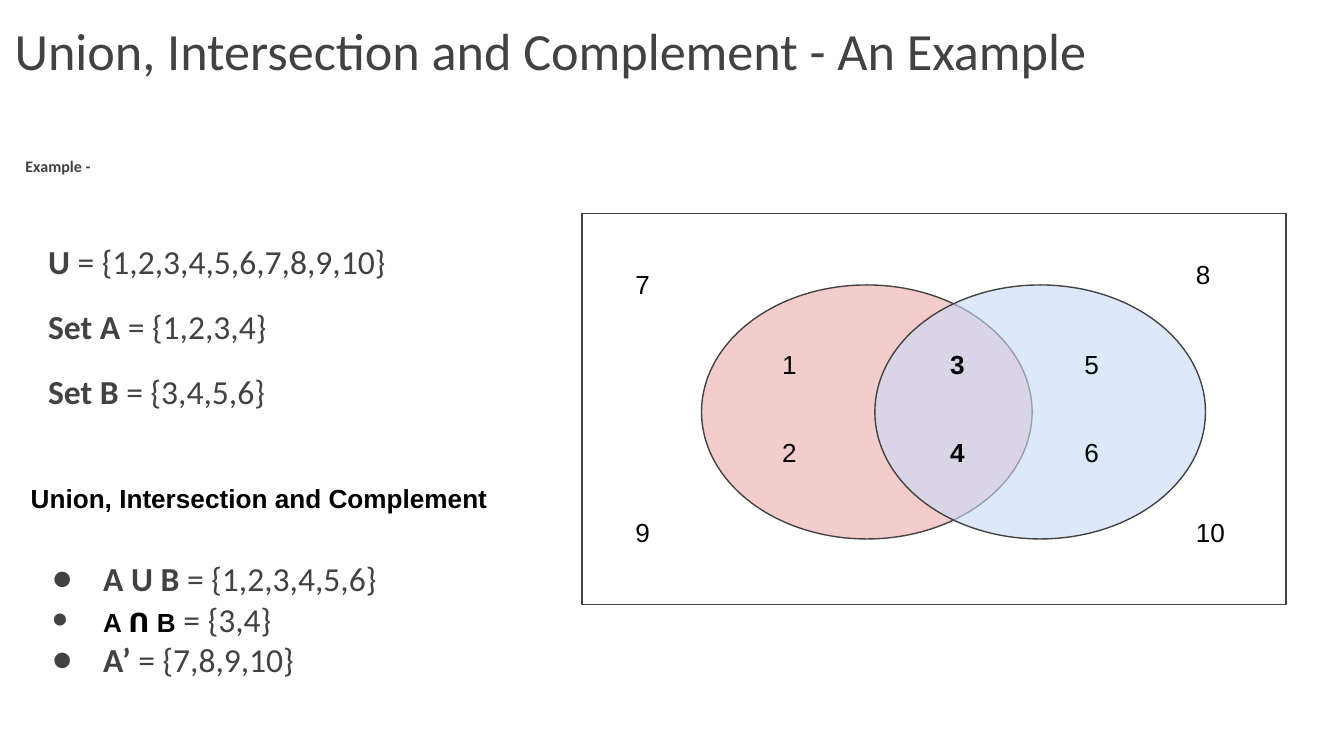
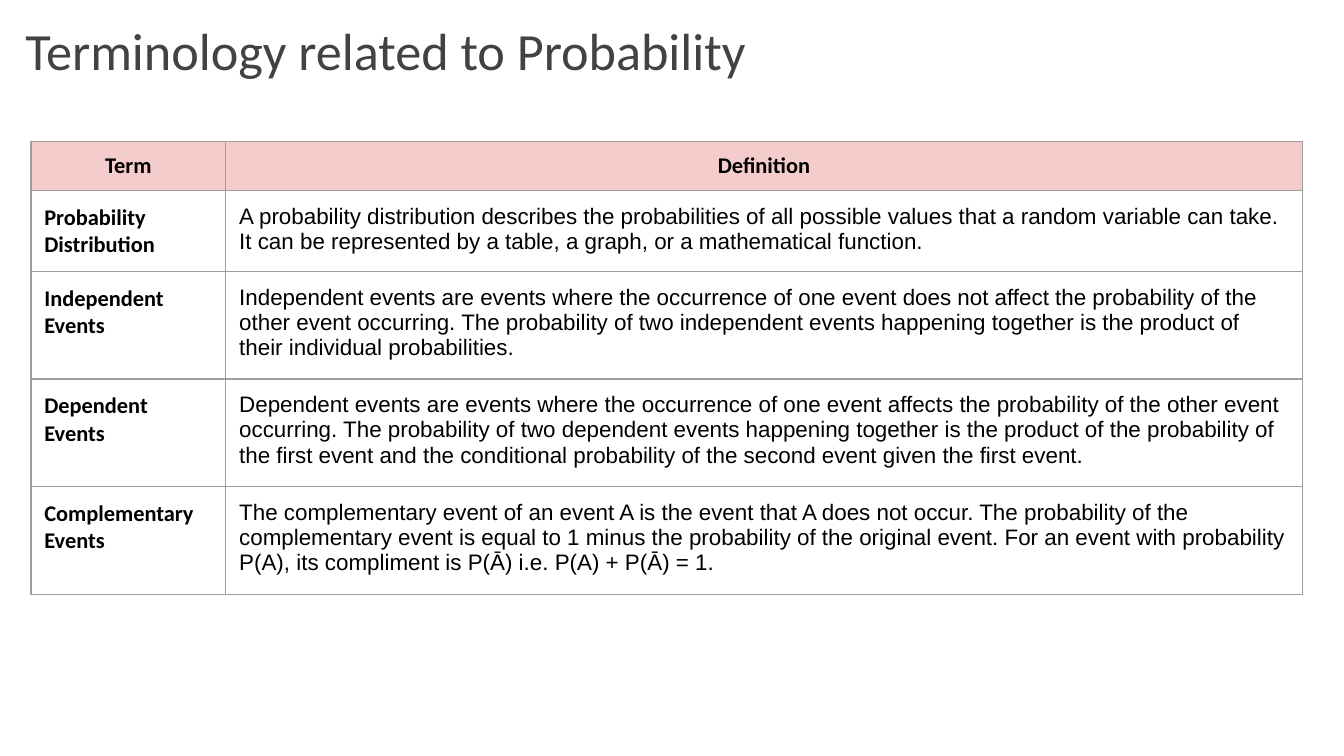
from dataclasses import dataclass

from lxml.etree import SubElement
from pptx import Presentation
from pptx.dml.color import RGBColor as Rgb
from pptx.enum.shapes import MSO_SHAPE as Geometry
from pptx.enum.text import MSO_ANCHOR as Anchor, PP_ALIGN as Align
from pptx.oxml.ns import qn
from pptx.util import Inches, Pt


@dataclass(frozen=True)
class Theme:
    """Colours, fonts and type sizes shared by the slides."""

    ink: str = "424242"
    black: str = "000000"
    paper: str = "FFFFFF"
    rose: str = "F4CCCC"
    sky: str = "C9DAF8"
    grid: str = "9E9E9E"
    heading_face: str = "Calibri"
    plain_face: str = "Arial"
    title: float = 28
    formula: float = 18
    label: float = 14
    cell: float = 12
    caption: float = 8.6
    inset: float = 0.1
    outline: float = 0.75


THEME = Theme()

SETS = [
    ("U", " = {1,2,3,4,5,6,7,8,9,10}"),
    ("Set A", " = {1,2,3,4}"),
    ("Set B", " = {3,4,5,6}"),
]
OPERATIONS = [
    ("A U B", " = {1,2,3,4,5,6}"),
    ("A ᑎ B", " = {3,4}"),
    ("A’", " = {7,8,9,10}"),
]
INNER_COLUMNS = [(5.72, "12", False), (6.97, "34", True), (7.97, "56", False)]
INNER_ROWS = [2.49, 3.15]
OUTSIDE = [("7", 4.63, 1.9), ("8", 8.8, 1.82), ("9", 4.63, 3.74), ("10", 8.8, 3.74)]
TERMS = [
    ("Probability Distribution",
     "A probability distribution describes the probabilities of all possible values "
     "that a random variable can take. It can be represented by a table, a graph, or "
     "a mathematical function."),
    ("Independent Events",
     "Independent events are events where the occurrence of one event does not affect "
     "the probability of the other event occurring. The probability of two independent "
     "events happening together is the product of their individual probabilities."),
    ("Dependent Events",
     "Dependent events are events where the occurrence of one event affects the "
     "probability of the other event occurring. The probability of two dependent events "
     "happening together is the product of the probability of the first event and the "
     "conditional probability of the second event given the first event."),
    ("Complementary Events",
     "The complementary event of an event A is the event that A does not occur. The "
     "probability of the complementary event is equal to 1 minus the probability of the "
     "original event. For an event with probability P(A), its compliment is P(Ā) i.e. "
     "P(A) + P(Ā) = 1."),
]


def style(font, size, face, color, bold=None):
    """Apply a type style to a paragraph or run font."""
    font.size, font.name, font.bold = Pt(size), face, bold
    font.color.rgb = Rgb.from_string(color)


def add_frame(shapes, left, top, width, height, filled=True):
    """Add a wrapping text box and return its text frame."""
    box = shapes.add_textbox(*map(Inches, (left, top, width, height)))
    if filled:
        box.fill.solid()
        box.fill.fore_color.rgb = Rgb.from_string(THEME.paper)
    frame = box.text_frame
    frame.word_wrap = True
    frame.margin_left = frame.margin_right = Inches(THEME.inset)
    frame.margin_top = frame.margin_bottom = Inches(THEME.inset)
    return frame


def add_title(slide, text, left, width):
    """Add the slide heading."""
    frame = add_frame(slide.shapes, left, 0.07, width, 0.63)
    frame.vertical_anchor = Anchor.BOTTOM
    heading = frame.paragraphs[0]
    heading.text = text
    heading.line_spacing, heading.space_after = 1.15, Pt(16)
    style(heading.font, THEME.title, THEME.heading_face, THEME.ink)


def add_label(shapes, text, left, top, width=0.42, bold=False):
    """Add a short black label."""
    label = add_frame(shapes, left, top, width, 0.43, filled=False).paragraphs[0]
    label.text = text
    style(label.font, THEME.label, THEME.plain_face, THEME.black, bold)


def add_bullet(paragraph):
    """Give a paragraph a hanging round bullet."""
    props = paragraph._p.get_or_add_pPr()
    props.set("marL", str(Inches(0.5)))
    props.set("indent", str(Inches(-0.38)))
    SubElement(SubElement(props, qn("a:buClr")), qn("a:srgbClr"), val=THEME.ink)
    SubElement(props, qn("a:buFont"), typeface=THEME.heading_face)
    SubElement(props, qn("a:buChar"), char="●")


def add_formulas(frame, formulas, bulleted=False):
    """Write name and value pairs with the names in bold."""
    lines = []
    for index, (name, value) in enumerate(formulas):
        line = frame.paragraphs[0] if index == 0 else frame.add_paragraph()
        if bulleted:
            add_bullet(line)
        style(line.font, THEME.formula, THEME.heading_face, THEME.ink)
        for text, bold in ((name, True), (value, False)):
            run = line.add_run()
            run.text, run.font.bold = text, bold
        lines.append(line)
    return lines


def add_region(shapes, geometry, left, top, width, height, fill=None, opacity=None):
    """Add an outlined region of the Venn diagram."""
    region = shapes.add_shape(geometry, *map(Inches, (left, top, width, height)))
    region.shadow.inherit = False
    region.line.color.rgb = Rgb.from_string(THEME.ink)
    region.line.width = Pt(THEME.outline)
    if fill is None:
        region.fill.background()
        return
    region.fill.solid()
    region.fill.fore_color.rgb = Rgb.from_string(fill)
    if opacity:
        color = region._element.spPr.find(qn("a:solidFill"))[0]
        SubElement(color, qn("a:alpha"), val=str(opacity * 1000))


def add_venn(slide):
    """Draw the universe, both sets and their members as one group."""
    shapes = slide.shapes.add_group_shape().shapes
    add_region(shapes, Geometry.RECTANGLE, 4.33, 1.59, 5.24, 2.91)
    add_region(shapes, Geometry.OVAL, 5.22, 2.12, 2.46, 1.89, THEME.rose)
    add_region(shapes, Geometry.OVAL, 6.51, 2.12, 2.46, 1.89, THEME.sky, 61)
    for left, members, shared in INNER_COLUMNS:
        for top, member in zip(INNER_ROWS, members):
            add_label(shapes, member, left, top, bold=shared)
    for member, left, top in OUTSIDE:
        add_label(shapes, member, left, top)


def fill_cell(cell, text, fill, face, bold, header):
    """Write and format one table cell."""
    props = cell._tc.get_or_add_tcPr()
    for side in ("lnL", "lnR", "lnT", "lnB"):
        border = SubElement(props, qn(f"a:{side}"), w=str(Pt(THEME.outline)))
        SubElement(SubElement(border, qn("a:solidFill")), qn("a:srgbClr"), val=THEME.grid)
    if fill:
        cell.fill.solid()
        cell.fill.fore_color.rgb = Rgb.from_string(fill)
    else:
        cell.fill.background()
    inset = Inches(0 if header else THEME.inset)
    cell.margin_left = cell.margin_right = inset
    cell.margin_top = cell.margin_bottom = inset
    cell.vertical_anchor = Anchor.MIDDLE if header else Anchor.TOP
    entry = cell.text_frame.paragraphs[0]
    entry.text = text
    entry.alignment = Align.CENTER if header else Align.LEFT
    style(entry.font, THEME.cell, face, THEME.black, bold)


def add_glossary(slide):
    """Add the table of terms and definitions, whose rows grow to fit."""
    rows = [("Term", "Definition"), *TERMS]
    heights = [0.37] + [0.32] * len(TERMS)
    widths = [1.45, 8.01]
    glossary = slide.shapes.add_table(
        len(rows), len(widths), Inches(0.23), Inches(1.05),
        Inches(sum(widths)), Inches(sum(heights))).table
    glossary.first_row = glossary.horz_banding = False
    for column, width in zip(glossary.columns, widths):
        column.width = Inches(width)
    for index, (texts, height) in enumerate(zip(rows, heights)):
        glossary.rows[index].height = Inches(height)
        header = index == 0
        for column, text in enumerate(texts):
            strong = header or column == 0
            fill_cell(glossary.cell(index, column), text,
                      THEME.rose if header else None,
                      THEME.heading_face if strong else THEME.plain_face,
                      strong, header)


def build_sets_slide(slide):
    """Build the worked example of set operations."""
    example = add_frame(slide.shapes, 0.09, 1.09, 3.25, 0.52)
    example.margin_top = Inches(0.13)
    caption = example.paragraphs[0]
    caption.text = "Example -"
    caption.line_spacing, caption.space_after = 0.95, Pt(12)
    style(caption.font, THEME.caption, THEME.heading_face, THEME.ink, True)
    add_title(slide, "Union, Intersection and Complement - An Example", 0.01, 9.48)

    definitions = add_formulas(add_frame(slide.shapes, 0.26, 1.68, 3.17, 1.7), SETS)
    for line in definitions:
        line.line_spacing = 1.05
    for line in definitions[1:]:
        line.space_before = Pt(12)
    definitions[-1].space_after = Pt(12)

    results = add_formulas(
        add_frame(slide.shapes, 0.17, 4.01, 3.17, 1.23), OPERATIONS, bulleted=True)
    results[0].line_spacing = 1.15
    intersection = results[1].runs[0]
    style(intersection.font, THEME.label, THEME.plain_face, THEME.black, True)

    add_venn(slide)
    add_label(slide.shapes, "Union, Intersection and Complement", 0.13, 3.49, 3.61, True)


def build_terms_slide(slide):
    """Build the probability glossary."""
    add_glossary(slide)
    add_title(slide, "Terminology related to Probability", 0.09, 9.32)


def main():
    """Build and save the deck."""
    deck = Presentation()
    deck.slide_width = Inches(10)
    deck.slide_height = Inches(10 * 9 / 16)
    for build in (build_sets_slide, build_terms_slide):
        build(deck.slides.add_slide(deck.slide_layouts[6]))
    deck.save("out.pptx")


if __name__ == "__main__":
    main()
